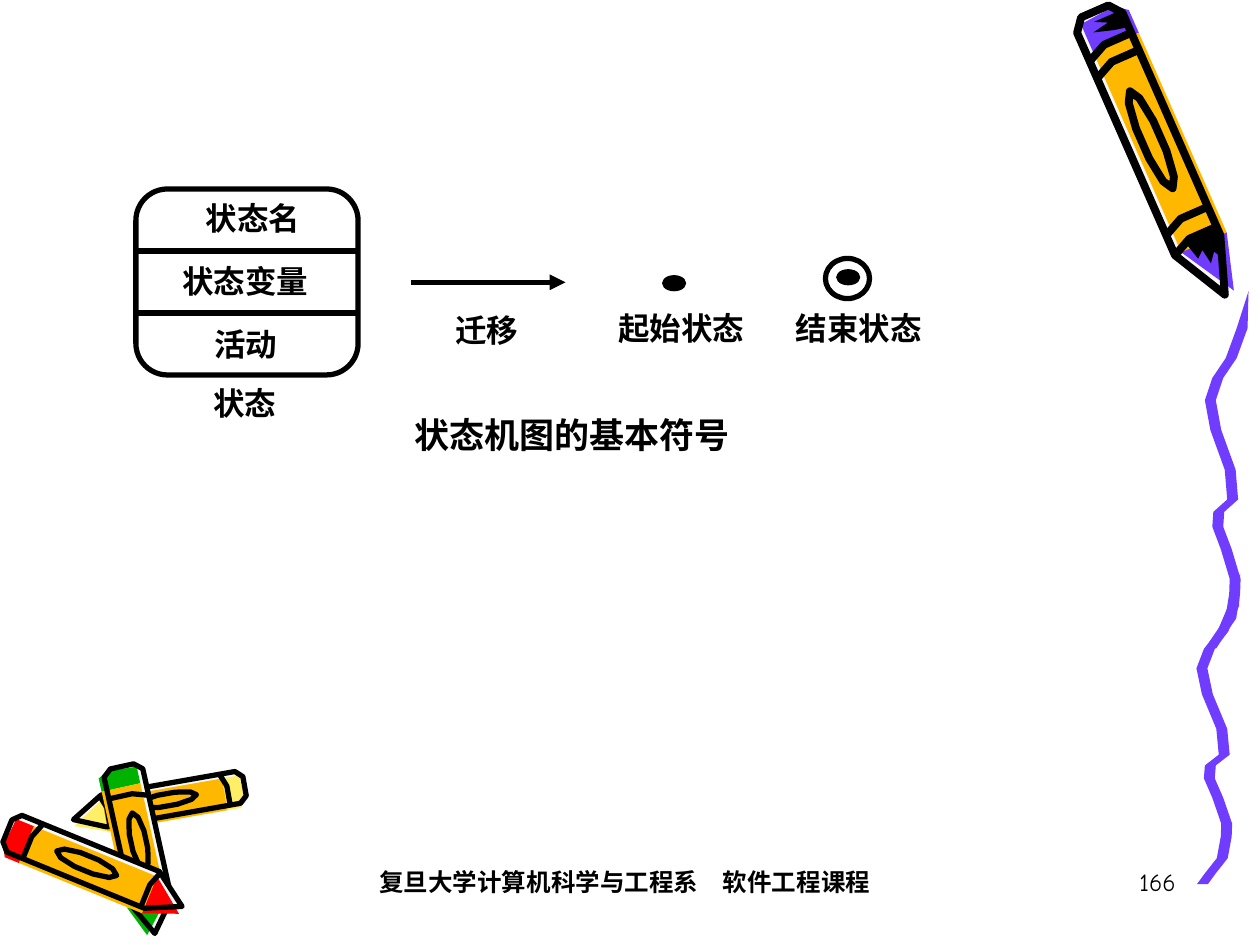
import math
from dataclasses import dataclass

from lxml import etree
from pptx import Presentation
from pptx import util as u
from pptx.dml.color import RGBColor
from pptx.enum import shapes, text
from pptx.oxml.ns import qn


@dataclass(frozen=True)
class Theme:
    black: str = "000000"
    white: str = "FFFFFF"
    paper: str = "F8F8F8"
    purple: str = "703DFF"
    orange: str = "FFB800"
    yellow: str = "FFEF66"
    red: str = "FF0000"
    green: str = "00B200"
    diagram_font: str = "Times New Roman"
    footer_font: str = "Comic Neue"
    label: int = 18
    caption: int = 20
    footer: int = 14
    thick: float = 3
    thin: float = 0.75


theme = Theme()


def add_text(words, left, top, width, height=0.94, *, size=theme.label, font=theme.diagram_font,
             bold=True, align=text.PP_ALIGN.CENTER, anchor=text.MSO_ANCHOR.TOP, spacing=None, fill=None):
    """Add a one-paragraph text box; lengths are in centimetres."""
    box = slide.shapes.add_textbox(u.Cm(left), u.Cm(top), u.Cm(width), u.Cm(height))
    if fill:
        box.fill.solid()
        box.fill.fore_color.rgb = RGBColor.from_string(fill)
    frame = box.text_frame
    frame.word_wrap = True
    frame.vertical_anchor = anchor
    paragraph = frame.paragraphs[0]
    paragraph.alignment = align
    paragraph.line_spacing = spacing
    run = paragraph.add_run()
    run.text = words
    run.font.size = u.Pt(size)
    run.font.name = font
    run.font.bold = bold
    run.font.color.rgb = RGBColor.from_string(theme.black)


def paint(shape, fill=None, line_width=None):
    """Set fill and black outline of a shape, each left empty when not given."""
    shape.shadow.inherit = False
    if fill:
        shape.fill.solid()
        shape.fill.fore_color.rgb = RGBColor.from_string(fill)
    else:
        shape.fill.background()
    if line_width:
        shape.line.color.rgb = RGBColor.from_string(theme.black)
        shape.line.width = u.Pt(line_width)
    else:
        shape.line.fill.background()


presentation = Presentation()
presentation.slide_width = u.Cm(25.4)
presentation.slide_height = u.Cm(19.05)
slide = presentation.slides.add_slide(presentation.slide_layouts[6])

# Every decoration becomes one entry: points in cm, fill, line width, closed
outlines = []

# A crayon is drawn in its own frame: (along, across), where along runs from
# 0 at the blunt end to 1 at the tip, and across from -0.5 to 0.5 of its width.
# The colour is printed a little off register, towards the positive side.
CAP, SHOULDER = 0.12, 0.82
INNER, OUTER = -0.36, 0.64
silhouette = [(0, -0.3), (0, 0.3), (0.04, 0.5), (SHOULDER, 0.5), (1, 0.1), (SHOULDER, -0.5), (0.04, -0.5)]
cap = [(0.02, INNER), (0.01, 0.4), (0.04, OUTER), (CAP, OUTER), (CAP, INNER)]
barrel = [(CAP, INNER), (CAP, OUTER), (SHOULDER, OUTER), (SHOULDER, INNER)]
tip_cone = [(SHOULDER, INNER), (SHOULDER, OUTER), (1, 0.3)]
angles = [math.tau * step / 10 for step in range(10)]
oval_label = [(0.45 + 0.17 * math.cos(angle), 0.2 * math.sin(angle)) for angle in angles]
scribbles = [
    [(0.03, 0.5), (0.03, -0.1), (0.05, 0.15), (0.06, -0.2), (0.08, 0.2), (0.09, 0.5)],
    [(0.8, 0.5), (0.8, -0.2), (0.86, -0.1), (0.84, 0.05), (0.89, 0.1), (0.86, 0.25), (0.9, 0.4)],
]

# blunt end, tip, width (negative mirrors the crayon), colour, line width, band places, scribbled
crayons = [
    ((4.93, 15.85), (1.47, 16.46), -0.65, theme.yellow, 3, [0.1, 0.8], False),
    ((2.46, 15.45), (3.2, 18.8), 0.8, theme.green, 3, [0.17, 0.8], False),
    ((0.15, 16.75), (3.7, 18.2), 0.8, theme.red, 3, [0.13, 0.8], False),
    ((22.07, 0.23), (24.6, 5.98), -1, theme.purple, 4.5, [0.11, 0.17, 0.72, 0.79], True),
]
for (end_x, end_y), (tip_x, tip_y), width, color, ink, bands, scribbled in crayons:
    along_x, along_y = tip_x - end_x, tip_y - end_y
    length = math.hypot(along_x, along_y)
    across_x, across_y = -along_y / length * width, along_x / length * width
    parts = [(silhouette, theme.paper, None, True), (cap, color, None, True),
             (barrel, theme.orange, None, True), (tip_cone, color, None, True),
             (silhouette, None, ink, True), (oval_label, None, ink, True)]
    parts += [([(band + 0.03, -0.5), (band, -0.1), (band, 0.5)], None, ink, False) for band in bands]
    if scribbled:
        parts += [(scribble, theme.black, None, True) for scribble in scribbles]
    for part, fill, line_width, closed in parts:
        points = [(end_x + along * along_x + across * across_x, end_y + along * along_y + across * across_y)
                  for along, across in part]
        outlines.append((points, fill, line_width, closed))

# The wavy trail is one ribbon used twice, starting in a point at its top
RIBBON_WIDTH = 0.22
ribbon_middle = [(-0.13, 0.75), (-0.35, 1.35), (-0.62, 1.75), (-0.77, 2.2), (-0.66, 2.8), (-0.37, 3.6),
                 (-0.32, 4.2), (-0.6, 4.45), (-0.62, 4.75), (-0.45, 5.2), (-0.27, 5.8), (-0.28, 6.1),
                 (-0.36, 6.6), (-0.6, 6.95), (-0.76, 7.2)]
left_edge = [(x - RIBBON_WIDTH / 2, y) for x, y in ribbon_middle]
right_edge = [(x + RIBBON_WIDTH / 2, y) for x, y in ribbon_middle]
ribbon = [(0, 0), *left_edge, *reversed(right_edge)]
for left, top, stretch in [(25, 11.56, 0.87), (25.17, 5.87, 1)]:
    outlines.append(([(left + x, top + y * stretch) for x, y in ribbon], theme.purple, None, True))

decoration = slide.shapes.add_group_shape()
for points, fill, line_width, closed in outlines:
    corners = [(u.Cm(x), u.Cm(y)) for x, y in points]
    builder = decoration.shapes.build_freeform(*corners[0])
    builder.add_line_segments(corners[1:], close=closed)
    paint(builder.convert_to_shape(), fill, line_width)

# State box with three compartments
BOX_LEFT, BOX_TOP, BOX_WIDTH, ROW_HEIGHT = 2.74, 3.81, 4.48, 1.25
state_box = slide.shapes.add_shape(
    shapes.MSO_SHAPE.ROUNDED_RECTANGLE, u.Cm(BOX_LEFT), u.Cm(BOX_TOP), u.Cm(BOX_WIDTH), u.Cm(3 * ROW_HEIGHT))
state_box.adjustments[0] = 0.17
paint(state_box, line_width=theme.thick)
for row, (words, left, width) in enumerate([("状态名", 3.76, 2.69), ("状态变量", 3.38, 3.12), ("活动", 3.38, 3.15)]):
    add_text(words, left, 4.01 + 1.27 * row, width, anchor=text.MSO_ANCHOR.MIDDLE, spacing=0.72)

# Compartment dividers and transition arrow
dividers = [(BOX_LEFT, BOX_LEFT + BOX_WIDTH, BOX_TOP + ROW_HEIGHT * row, False) for row in (1, 2)]
for start, end, y, arrow in [*dividers, (8.28, 11.4, 5.69, True)]:
    line = slide.shapes.add_connector(
        shapes.MSO_CONNECTOR.STRAIGHT, u.Cm(start), u.Cm(y), u.Cm(end), u.Cm(y))
    line.line.color.rgb = RGBColor.from_string(theme.black)
    line.line.width = u.Pt(theme.thick)
    if arrow:
        etree.SubElement(line.line._get_or_add_ln(), qn("a:tailEnd"), type="triangle")
    etree.SubElement(line._element.spPr, qn("a:effectLst"))

# Start dot, end ring and end dot
for left, top, width, height, fill, line_width in [
    (13.36, 5.56, 0.46, 0.3, theme.black, theme.thin),
    (16.64, 5.21, 0.89, 0.81, theme.white, theme.thick),
    (16.87, 5.44, 0.46, 0.3, theme.black, theme.thin),
]:
    dot = slide.shapes.add_shape(shapes.MSO_SHAPE.OVAL, u.Cm(left), u.Cm(top), u.Cm(width), u.Cm(height))
    paint(dot, fill, line_width)

# Names under the symbols, then the caption
for words, left, top, width in [
    ("状态", 3.81, 7.82, 2.24),
    ("迁移", 8.69, 6.35, 2.24),
    ("起始状态", 12.17, 6.3, 3.12),
    ("结束状态", 15.75, 6.3, 3.12),
]:
    add_text(words, left, top, width, spacing=0.72, fill=theme.white)
add_text("状态机图的基本符号", 7.82, 8.05, 7.42, 1.27, size=theme.caption, spacing=1.2, fill=theme.white)

add_text("复旦大学计算机科学与工程系　软件工程课程", 5.08, 17.35, 15.04, 1.27,
         size=theme.footer, font=theme.footer_font)
add_text("166", 18.67, 17.35, 5.28, 1.27, size=theme.footer, font=theme.footer_font,
         bold=False, align=text.PP_ALIGN.RIGHT)

presentation.save("out.pptx")
